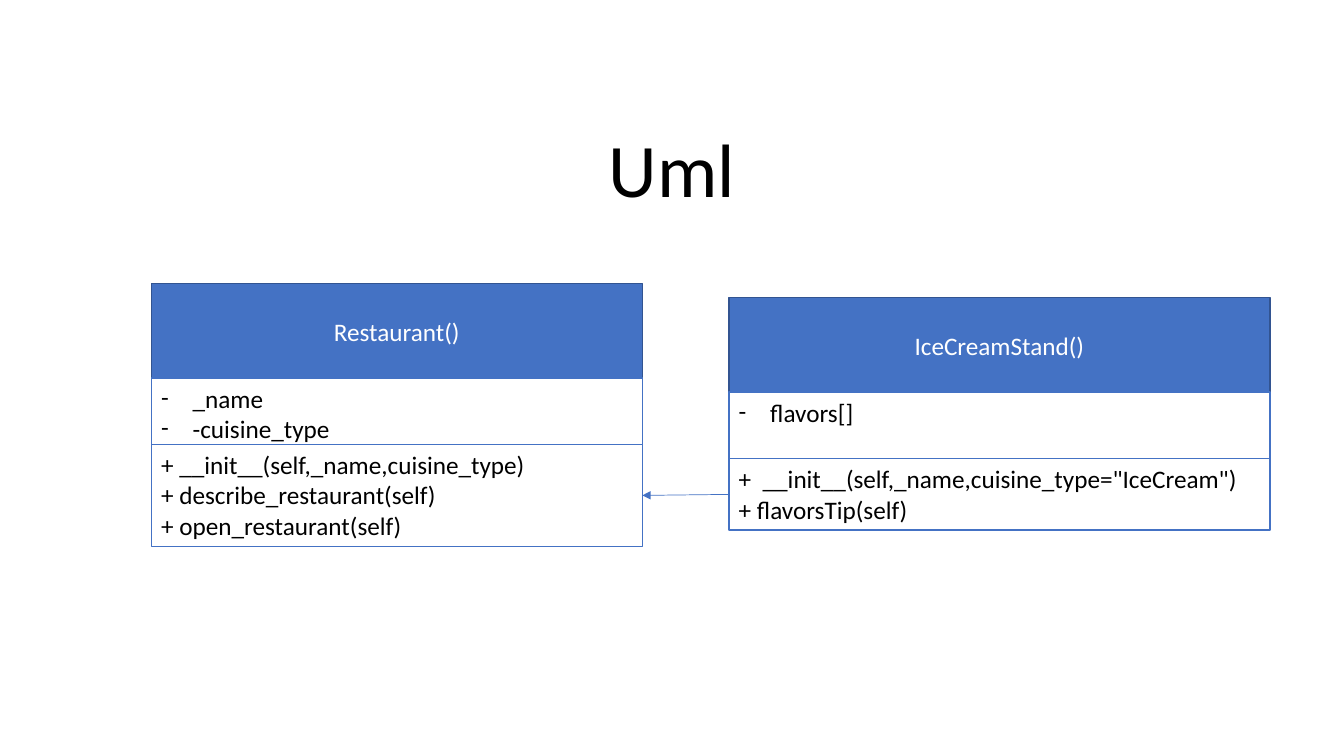
from pptx import Presentation, util as u
from pptx.dml.color import RGBColor
from pptx.enum import shapes, text
from pptx.oxml.ns import qn
from lxml import etree

COLORS = {"blue": "4472C4", "edge": "325491", "white": "FFFFFF", "black": "000000"}
HEADER_H, FIELDS_H = 68.4, 51.1
FIELDS_DY, METHODS_DY = 67.7, 115.2


def rgb(name):
    return RGBColor.from_string(COLORS[name])


def write(tf, lines, size=18, color="black", align="LEFT", anchor="TOP", spacing=1.0, dash=False):
    tf.word_wrap = True
    tf.vertical_anchor = getattr(text.MSO_ANCHOR, anchor)
    for i, line in enumerate(lines):
        p = tf.paragraphs[0] if i == 0 else tf.add_paragraph()
        p.alignment = getattr(text.PP_ALIGN, align)
        p.line_spacing = spacing
        r = p.add_run()
        r.text = line
        r.font.name = "Calibri"
        r.font.size = u.Pt(size)
        r.font.color.rgb = rgb(color)
        if dash:
            pPr = p._p.get_or_add_pPr()
            pPr.set("marL", str(u.Pt(22.5)))
            pPr.set("indent", str(u.Pt(-22.5)))
            etree.SubElement(pPr, qn("a:buFont")).set("typeface", "Calibri")
            etree.SubElement(pPr, qn("a:buChar")).set("char", "-")


class Diagram:
    def __init__(self, s):
        self.s = s
        self.line_width = 1
        self.arrow_width = 0.5

    def title(self, line, x, y, w, h):
        sp = self.s.shapes.add_textbox(u.Pt(x), u.Pt(y), u.Pt(w), u.Pt(h))
        write(sp.text_frame, [line], size=54, align="CENTER", anchor="BOTTOM", spacing=0.9)

    def box(self, grp, x, y, w, h, lines, fill="white", line="blue", **fmt):
        sp = grp.shapes.add_shape(shapes.MSO_SHAPE.RECTANGLE, u.Pt(x), u.Pt(y), u.Pt(w), u.Pt(h))
        sp.shadow.inherit = False
        sp.fill.solid()
        sp.fill.fore_color.rgb = rgb(fill)
        sp.line.color.rgb = rgb(line)
        sp.line.width = u.Pt(self.line_width)
        write(sp.text_frame, lines, **fmt)
        return sp

    def uml_class(self, x, y, w, name, fields, methods, methods_h):
        grp = self.s.shapes.add_group_shape()
        self.box(grp, x, y, w, HEADER_H, [name], fill="blue", line="edge",
                 color="white", align="CENTER", anchor="MIDDLE")
        self.box(grp, x, y + FIELDS_DY, w, FIELDS_H, fields, dash=True)
        return self.box(grp, x, y + METHODS_DY, w, methods_h, methods)

    def arrow(self, child, parent):
        c = self.s.shapes.add_connector(shapes.MSO_CONNECTOR.STRAIGHT, 0, 0, 0, 0)
        c.begin_connect(child, 1)
        c.end_connect(parent, 3)
        c.line.color.rgb = rgb("blue")
        c.line.width = u.Pt(self.arrow_width)
        etree.SubElement(c.line._get_or_add_ln(), qn("a:tailEnd")).set("type", "triangle")
        etree.SubElement(c._element.spPr, qn("a:effectLst"))


def main():
    prs = Presentation()
    prs.slide_width, prs.slide_height = u.Pt(960), u.Pt(540)
    d = Diagram(prs.slides.add_slide(prs.slide_layouts[6]))
    d.title("Uml", 120, 88.6, 720, 67.7)
    restaurant = d.uml_class(
        108, 202.3, 350.8, "Restaurant()", ["_name", "-cuisine_type"],
        ["+ __init__(self,_name,cuisine_type)", "+ describe_restaurant(self)",
         "+ open_restaurant(self)"], 72.7)
    stand = d.uml_class(
        520.6, 212.4, 386.6, "IceCreamStand()", ["flavors[]"],
        ['+  __init__(self,_name,cuisine_type="IceCream")', "+ flavorsTip(self)"], 51.1)
    d.arrow(stand, restaurant)
    prs.save("out.pptx")


if __name__ == "__main__":
    main()
